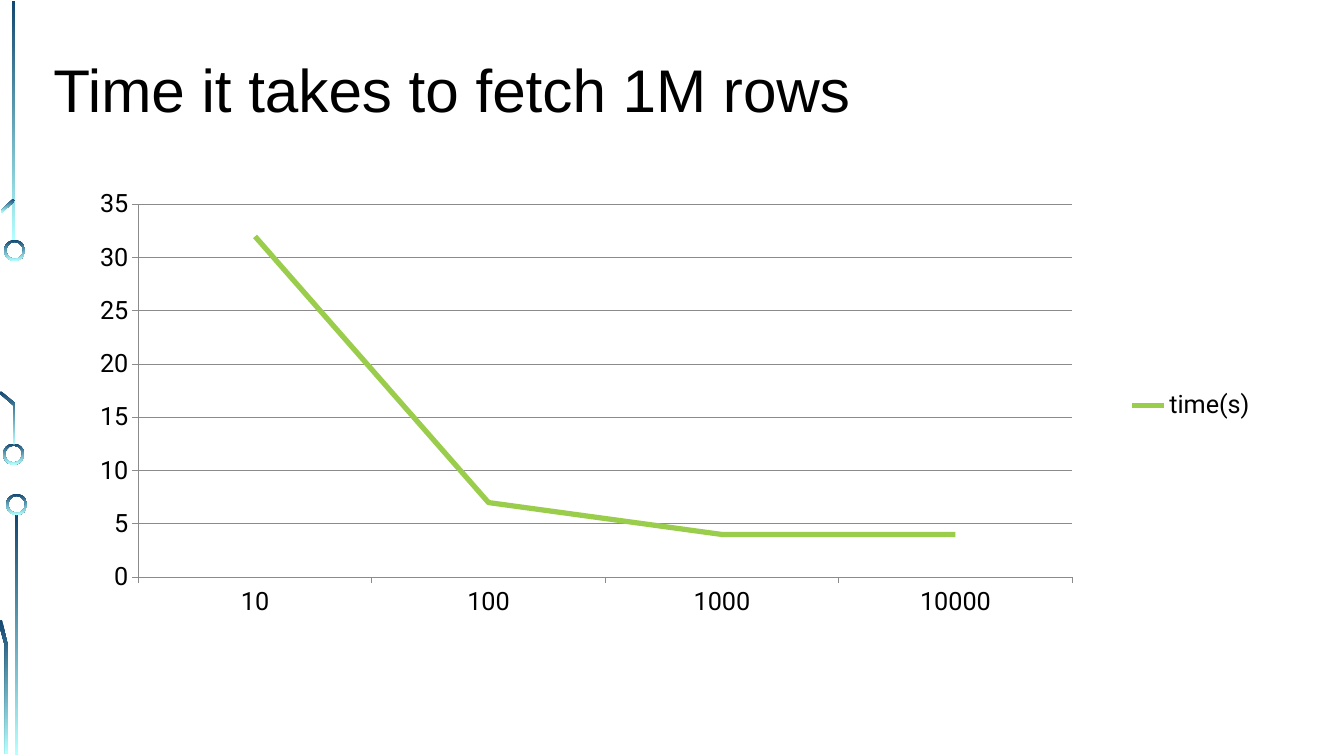
from lxml import etree
from pptx import Presentation
from pptx.chart.data import CategoryChartData
from pptx.dml.color import RGBColor
from pptx.enum.chart import XL_CHART_TYPE, XL_LEGEND_POSITION, XL_TICK_MARK
from pptx.enum.shapes import MSO_SHAPE
from pptx.oxml.ns import qn
from pptx.util import Inches, Pt

COLORS = {
    "background": "FFFFFF",
    "text": "000000",
    "circuit_top": "134770",
    "circuit_bottom": "B4FFFF",
    "series": "9ACD4C",
    "axis": "8B8B8B",
}
FETCH_TIMES = {"10": 32, "100": 7, "1000": 4, "10000": 4}
WIRES = [(0.12, 0.01), (0.15, 5.1)]
RINGS = [(0.04, 2.38), (0.03, 4.4), (0.06, 4.9)]
TRACES = [
    [(0.02, 2.11), (0.01, 2.09), (0.13, 1.97), (0.15, 1.99)],
    [(0.15, 4.41), (0.13, 4.41), (0.13, 4.02), (-0.01, 3.9), (0.01, 3.88), (0.15, 4)],
    [(0.08, 7.48), (0.05, 7.48), (0.05, 6.41), (-0.02, 6.16), (0.02, 6.15), (0.08, 6.41)],
]


def color(name):
    """Return the named palette colour."""
    return RGBColor.from_string(COLORS[name])


def style_circuit(part):
    """Give a circuit part its downward gradient without outline or shadow."""
    part.shadow.inherit = False
    part.line.fill.background()
    part.fill.gradient()
    part.fill.gradient_angle = 270
    for stop, name in zip(part.fill.gradient_stops, ("circuit_top", "circuit_bottom")):
        stop.color.rgb = color(name)


def add_circuit(slide, left, top):
    """Draw the circuit decoration from the given corner."""
    for x, y in WIRES:
        wire = slide.shapes.add_shape(
            MSO_SHAPE.RECTANGLE, Inches(left + x), Inches(top + y), Inches(0.03), Inches(2.39))
        style_circuit(wire)
    for x, y in RINGS:
        ring = slide.shapes.add_shape(
            MSO_SHAPE.DONUT, Inches(left + x), Inches(top + y), Inches(0.21), Inches(0.21))
        ring.adjustments[0] = 0.1
        style_circuit(ring)
    for trace in TRACES:
        start, *corners = [(Inches(left + x), Inches(top + y)) for x, y in trace]
        outline = slide.shapes.build_freeform(*start)
        outline.add_line_segments(corners, close=True)
        style_circuit(outline.convert_to_shape())


def add_title(slide, left, top, width, height):
    """Write the slide title in the given box."""
    title = slide.shapes.add_textbox(
        Inches(left), Inches(top), Inches(width), Inches(height)).text_frame
    title.word_wrap = True
    title.margin_left = title.margin_right = title.margin_bottom = 0
    title.margin_top = Inches(0.05)
    run = title.paragraphs[0].add_run()
    run.text = "Time it takes to fetch 1M rows"
    run.font.name = "Arial"
    run.font.size = Pt(43)
    run.font.color.rgb = color("text")


def set_plot_box(chart, **box):
    """Fix the inner plot area as fractions of the chart."""
    plot_area = chart.plots[0]._element.getparent()
    layout = plot_area.find(qn("c:layout"))
    if layout is None:
        layout = etree.Element(qn("c:layout"))
        plot_area.insert(0, layout)
    manual = etree.SubElement(layout, qn("c:manualLayout"))
    settings = {"layoutTarget": "inner", "xMode": "edge", "yMode": "edge", **box}
    for tag, value in settings.items():
        etree.SubElement(manual, qn(f"c:{tag}")).set("val", str(value))


def add_fetch_chart(slide, left, top, width, height):
    """Plot the fetch times in the given box."""
    fetch_data = CategoryChartData()
    fetch_data.categories = list(FETCH_TIMES)
    fetch_data.add_series("time(s)", list(FETCH_TIMES.values()))
    chart = slide.shapes.add_chart(
        XL_CHART_TYPE.LINE, Inches(left), Inches(top), Inches(width), Inches(height),
        fetch_data).chart
    chart.font.name = "Roboto"
    chart.font.size = Pt(18)
    chart.font.color.rgb = color("text")
    chart.has_title = False
    chart.has_legend = True
    chart.legend.position = XL_LEGEND_POSITION.RIGHT
    chart.legend.include_in_layout = False
    chart.plots[0].vary_by_categories = False

    times = chart.plots[0].series[0]
    times.smooth = False
    times.format.line.color.rgb = color("series")
    times.format.line.width = Pt(3.75)

    seconds = chart.value_axis
    seconds.minimum_scale, seconds.maximum_scale, seconds.major_unit = 0, 35, 5
    seconds.has_major_gridlines = True
    for axis in (chart.category_axis, seconds):
        axis.major_tick_mark = XL_TICK_MARK.OUTSIDE
        axis.minor_tick_mark = XL_TICK_MARK.NONE
    for ruled in (chart.category_axis, seconds, seconds.major_gridlines):
        ruled.format.line.color.rgb = color("axis")
        ruled.format.line.width = Pt(0.75)
    set_plot_box(chart, x=0.07, y=0.08, w=0.77, h=0.78)


def main():
    """Build and save the slide."""
    deck = Presentation()
    deck.slide_width, deck.slide_height = Inches(13.33), Inches(7.5)
    slide = deck.slides.add_slide(deck.slide_layouts[6])
    slide.background.fill.solid()
    slide.background.fill.fore_color.rgb = color("background")
    add_circuit(slide, 0, 0)
    add_title(slide, 0.53, 0.47, 12.26, 0.67)
    add_fetch_chart(slide, 0.53, 1.65, 12.03, 4.74)
    deck.save("out.pptx")


if __name__ == "__main__":
    main()
